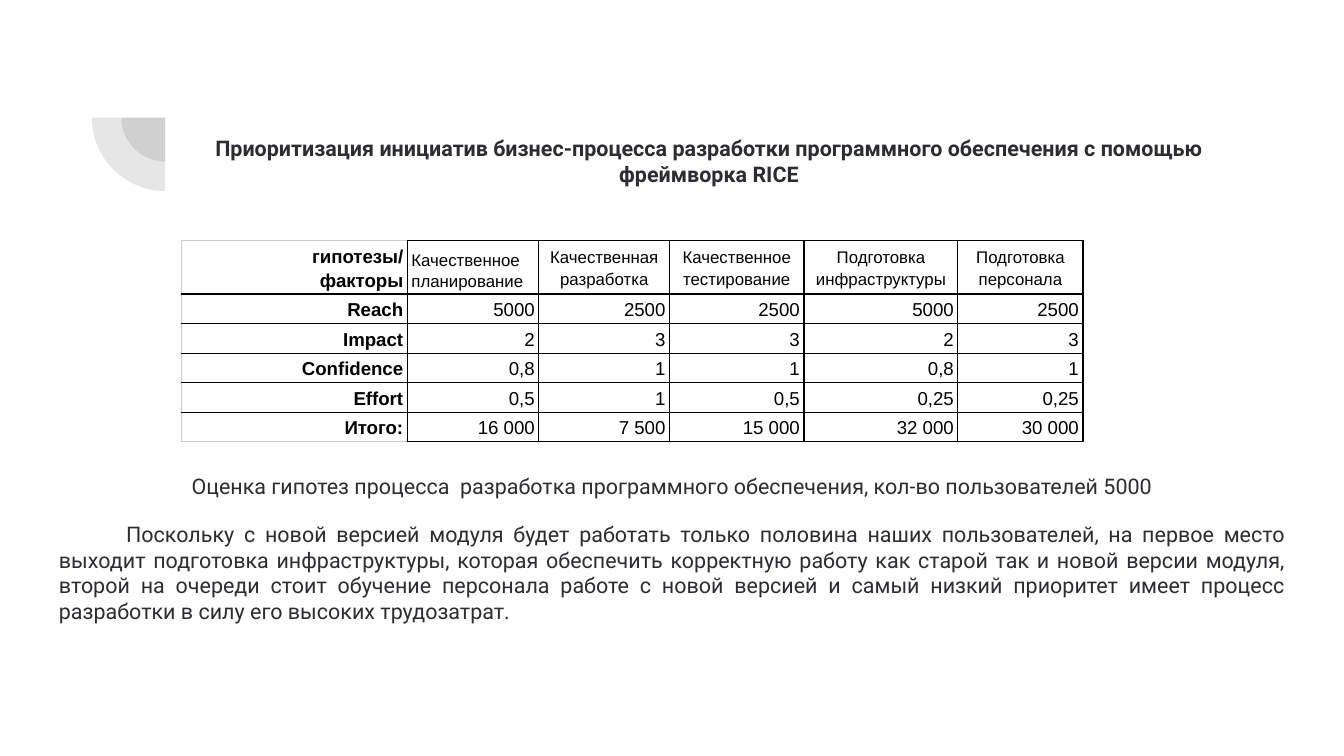
from lxml import etree
from pptx import Presentation
from pptx.dml.color import RGBColor
from pptx.enum.shapes import MSO_SHAPE
from pptx.enum.text import MSO_ANCHOR, MSO_AUTO_SIZE, PP_ALIGN
from pptx.oxml.ns import qn
from pptx.util import Pt

LEFT, CENTER, RIGHT, JUSTIFY = PP_ALIGN.LEFT, PP_ALIGN.CENTER, PP_ALIGN.RIGHT, PP_ALIGN.JUSTIFY
TOP, MIDDLE, BOTTOM = MSO_ANCHOR.TOP, MSO_ANCHOR.MIDDLE, MSO_ANCHOR.BOTTOM
NO_AUTOFIT = MSO_AUTO_SIZE.NONE
PIE = MSO_SHAPE.PIE

BLACK = RGBColor(0x00, 0x00, 0x00)
INK = RGBColor(0x2C, 0x2D, 0x30)
GRAY = RGBColor(0x42, 0x42, 0x42)
LIGHT = RGBColor(0xCC, 0xCC, 0xCC)

TITLE = ("Приоритизация инициатив бизнес-процесса разработки "
         "программного обеспечения с помощью фреймворка RICE")
CAPTION = ("Оценка гипотез процесса  разработка программного обеспечения, "
           "кол-во пользователей 5000")
CONCLUSION = (
    "Поскольку с новой версией модуля будет работать только половина наших пользователей, "
    "на первое место выходит подготовка инфраструктуры, которая обеспечить корректную работу "
    "как старой так и новой версии модуля, второй на очереди стоит обучение персонала работе "
    "с новой версией и самый низкий приоритет имеет процесс разработки в силу его высоких "
    "трудозатрат.")

SCORES = [
    ["гипотезы/\nфакторы", "Качественное\nпланирование", "Качественная\nразработка",
     "Качественное\nтестирование", "Подготовка\nинфраструктуры", "Подготовка\nперсонала"],
    ["Reach", "5000", "2500", "2500", "5000", "2500"],
    ["Impact", "2", "3", "3", "2", "3"],
    ["Confidence", "0,8", "1", "1", "0,8", "1"],
    ["Effort", "0,5", "1", "0,5", "0,25", "0,25"],
    ["Итого:", "16 000", "7 500", "15 000", "32 000", "30 000"],
]
COLUMN_WIDTHS = [121, 70.5, 70, 72, 82.5, 67]
ROW_HEIGHTS = [26] + [15.8] * 5


class SlideBuilder:
    text_font, text_size = "Roboto", 11.5
    table_font, table_size, header_size = "Arial", 10, 9
    inset = 7.2
    border_width = 0.75

    def __init__(self, slide):
        self.slide = slide

    def span(self, para, text, font, size, color, bold=False):
        run = para.add_run()
        run.text = text
        run.font.name = font
        run.font.size = Pt(size)
        run.font.bold = bold
        run.font.color.rgb = color

    def frame(self, box, anchor):
        """Give a text box or placeholder the common insets and wrapping."""
        frame = box.text_frame
        frame.word_wrap = True
        frame.auto_size = NO_AUTOFIT
        frame.vertical_anchor = anchor
        frame.margin_left = frame.margin_right = Pt(self.inset)
        frame.margin_top = frame.margin_bottom = Pt(self.inset)
        return frame

    def title(self, text, left, top, width, height):
        box = self.slide.shapes.title
        box.left, box.top, box.width, box.height = Pt(left), Pt(top), Pt(width), Pt(height)
        para = self.frame(box, MIDDLE).paragraphs[0]
        para.alignment = CENTER
        self.span(para, text, self.text_font, self.text_size, INK, bold=True)

    def body(self, caption, conclusion, left, top, width, height):
        box = self.slide.shapes.add_textbox(Pt(left), Pt(top), Pt(width), Pt(height))
        frame = self.frame(box, TOP)
        first, second = frame.paragraphs[0], frame.add_paragraph()
        first.alignment, first.line_spacing = CENTER, 1.15
        second.alignment, second.space_before = JUSTIFY, Pt(12)
        second._p.get_or_add_pPr().set("indent", str(Pt(36)))
        for para, text in ((first, caption), (second, conclusion)):
            self.span(para, text, self.text_font, self.text_size, INK)

    def quarter(self, center_x, center_y, radius):
        """Draw the translucent lower left quarter of a disc."""
        shape = self.slide.shapes.add_shape(
            PIE, Pt(center_x - radius), Pt(center_y - radius), Pt(2 * radius), Pt(2 * radius))
        shape.adjustments[0], shape.adjustments[1] = 54, 108
        shape.shadow.inherit = False
        shape.line.fill.background()
        shape.fill.solid()
        shape.fill.fore_color.rgb = GRAY
        color = shape.fill._xPr.find(qn("a:solidFill"))[0]
        etree.SubElement(color, qn("a:alpha"), val="13000")

    def border(self, cell, side, color):
        line = etree.SubElement(cell._tc.get_or_add_tcPr(), qn("a:" + side),
                                w=str(Pt(self.border_width)))
        fill = etree.SubElement(line, qn("a:solidFill"))
        etree.SubElement(fill, qn("a:srgbClr"), val=str(color))

    def cell(self, cell, text, size, align, anchor, bold):
        cell.margin_left = cell.margin_right = Pt(2.25)
        cell.margin_top = cell.margin_bottom = Pt(1.5)
        cell.vertical_anchor = anchor
        frame = cell.text_frame
        for index, line in enumerate(text.split("\n")):
            para = frame.add_paragraph() if index else frame.paragraphs[0]
            para.alignment, para.line_spacing = align, 1.15
            self.span(para, line, self.table_font, size, BLACK, bold)

    def table(self, rows, widths, heights, left, top):
        table = self.slide.shapes.add_table(
            len(rows), len(widths), Pt(left), Pt(top), Pt(sum(widths)), Pt(sum(heights))).table
        table.first_row = table.horz_banding = False
        for column, width in zip(table.columns, widths):
            column.width = Pt(width)
        for row, height in zip(table.rows, heights):
            row.height = Pt(height)
        for r, texts in enumerate(rows):
            for c, text in enumerate(texts):
                cell = table.cell(r, c)
                size, align, anchor = self.table_size, RIGHT, BOTTOM
                if r == 0 and c > 0:
                    size = self.header_size
                    align, anchor = (LEFT, BOTTOM) if c == 1 else (CENTER, MIDDLE)
                self.cell(cell, text, size, align, anchor, bold=c == 0)
                outer = {"lnL": c == 0, "lnR": False, "lnT": c == 0 and r == 0,
                         "lnB": c == 0 and r == len(rows) - 1}
                for side, is_light in outer.items():
                    self.border(cell, side, LIGHT if is_light else BLACK)
                cell.fill.background()


def main():
    deck = Presentation()
    deck.slide_width, deck.slide_height = Pt(720), Pt(405)
    page = SlideBuilder(deck.slides.add_slide(deck.slide_layouts[5]))
    for radius in (23.5, 39.3):
        page.quarter(88.5, 63, radius)
    page.title(TITLE, 103, 46.8, 553.7, 78.5)
    page.body(CAPTION, CONCLUSION, 24.5, 244, 671, 152)
    page.table(SCORES, COLUMN_WIDTHS, ROW_HEIGHTS, 97.2, 128.9)
    deck.save("out.pptx")


if __name__ == "__main__":
    main()
